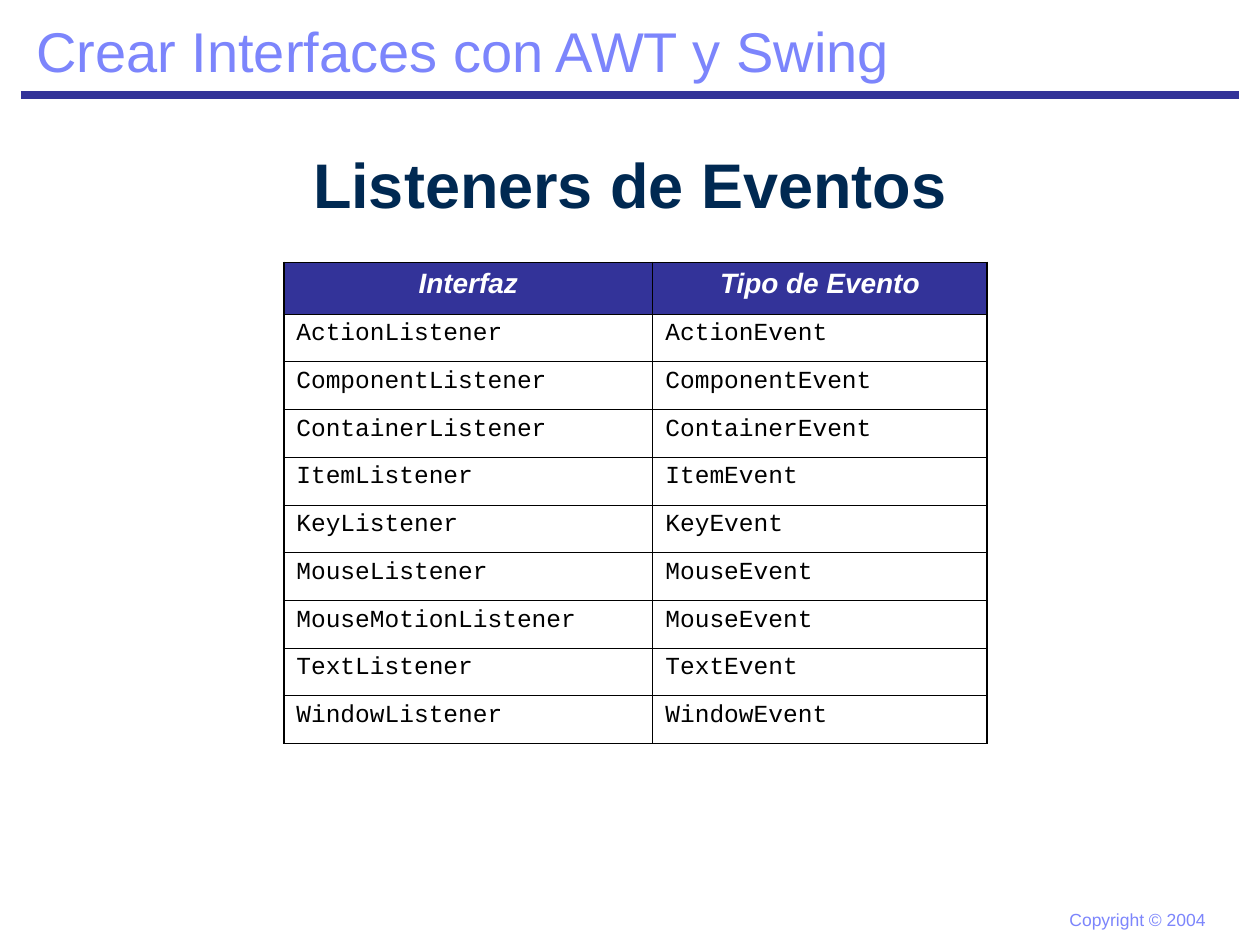
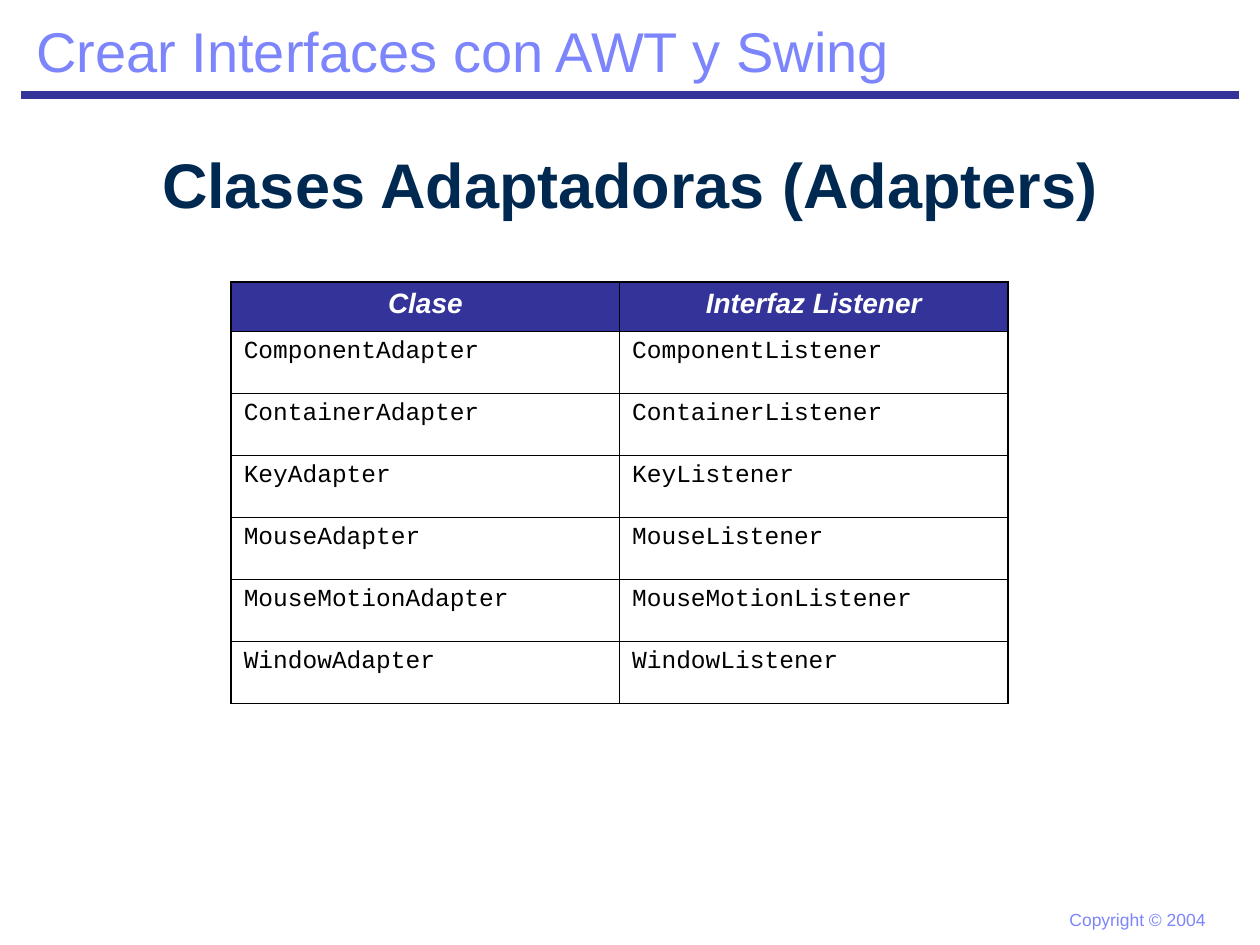
from lxml import etree
from pptx import Presentation
from pptx import util as u
from pptx.dml import color
from pptx.enum import shapes, text
from pptx.oxml import ns

BAND, LILAC, NAVY = "333399", "7C85FC", "002952"
BLACK, WHITE = "000000", "FFFFFF"
SANS, MONO = "Arial", "Courier New"
OUTER, INNER = 1.08, 0.45
HEADING_BOX = (0, 2.74, 25.4, 1.91)

LISTENERS = [
    ("Interfaz", "Tipo de Evento"),
    ("ActionListener", "ActionEvent"),
    ("ComponentListener", "ComponentEvent"),
    ("ContainerListener", "ContainerEvent"),
    ("ItemListener", "ItemEvent"),
    ("KeyListener", "KeyEvent"),
    ("MouseListener", "MouseEvent"),
    ("MouseMotionListener", "MouseEvent"),
    ("TextListener", "TextEvent"),
    ("WindowListener", "WindowEvent"),
]
ADAPTERS = [
    ("Clase", "Interfaz Listener"),
    ("ComponentAdapter", "ComponentListener"),
    ("ContainerAdapter", "ContainerListener"),
    ("KeyAdapter", "KeyListener"),
    ("MouseAdapter", "MouseListener"),
    ("MouseMotionAdapter", "MouseMotionListener"),
    ("WindowAdapter", "WindowListener"),
]


def rgb(value):
    return color.RGBColor.from_string(value)


def write(frame, words, font, size, colour, bold=False, italic=False, center=False):
    frame.text = words
    para = frame.paragraphs[0]
    para.alignment = text.PP_ALIGN.CENTER if center else text.PP_ALIGN.LEFT
    style = para.runs[0].font
    style.name, style.size = font, u.Pt(size)
    style.bold, style.italic = bold, italic
    style.color.rgb = rgb(colour)


def add_label(page, box, words, size, colour, **style):
    frame = page.shapes.add_textbox(*map(u.Cm, box)).text_frame
    write(frame, words, SANS, size, colour, **style)
    return frame


def add_tight_label(page, box, words, size):
    frame = add_label(page, box, words, size, LILAC)
    frame.word_wrap = False
    frame.auto_size = text.MSO_AUTO_SIZE.SHAPE_TO_FIT_TEXT


def add_page_frame(page):
    rule = page.shapes.add_connector(
        shapes.MSO_CONNECTOR.STRAIGHT, u.Cm(0.42), u.Cm(1.91), u.Cm(24.98), u.Cm(1.91))
    rule.line.color.rgb = rgb(BAND)
    rule.line.width = u.Pt(4.5)
    etree.SubElement(rule._element.spPr, ns.qn("a:effectLst"))
    add_tight_label(page, (21.31, 18.21, 3.25, 0.69), "Copyright © 2004", 10)
    add_tight_label(page, (0.48, 0.2, 17.83, 1.63), "Crear Interfaces con AWT y Swing", 32)


def add_heading(page, words):
    frame = add_label(page, HEADING_BOX, words, 36, NAVY, bold=True, center=True)
    frame.word_wrap = True
    frame.vertical_anchor = text.MSO_ANCHOR.MIDDLE


def set_borders(cell, outer_sides):
    props = cell._tc.get_or_add_tcPr()
    for side in "LRTB":
        width = OUTER if side in outer_sides else INNER
        line = etree.SubElement(props, ns.qn(f"a:ln{side}"), w=str(u.Pt(width)))
        fill = etree.SubElement(line, ns.qn("a:solidFill"))
        etree.SubElement(fill, ns.qn("a:srgbClr"), val=BLACK)


def add_class_table(page, box, rows, first_width, header_height):
    left, top, width, height = box
    last = len(rows) - 1
    grid = page.shapes.add_table(len(rows), 2, *map(u.Cm, box)).table
    grid.horz_banding = False
    for column, size in zip(grid.columns, (first_width, width - first_width)):
        column.width = u.Cm(size)
    row_height = (height - header_height) / last
    for r, names in enumerate(rows):
        grid.rows[r].height = u.Cm(row_height if r else header_height)
        for c, name in enumerate(names):
            cell = grid.cell(r, c)
            sides = "LR"[c] + ("T" if r == 0 else "") + ("B" if r == last else "")
            set_borders(cell, sides)
            if r == 0:
                cell.fill.solid()
                cell.fill.fore_color.rgb = rgb(BAND)
                write(cell.text_frame, name, SANS, 16, WHITE,
                      bold=True, italic=True, center=True)
            else:
                cell.fill.background()
                write(cell.text_frame, name, MONO, 14, BLACK)


def add_table_page(deck, heading, rows, box, first_width, header_height):
    page = deck.slides.add_slide(deck.slide_layouts[6])
    add_page_frame(page)
    add_heading(page, heading)
    add_class_table(page, box, rows, first_width, header_height)


def main():
    deck = Presentation()
    deck.slide_width, deck.slide_height = u.Cm(25.4), u.Cm(19.05)
    add_table_page(deck, "Listeners de Eventos", LISTENERS,
                   (5.72, 5.29, 14.18, 9.7), 7.44, 1.04)
    add_table_page(deck, "Clases Adaptadoras (Adapters)", ADAPTERS,
                   (4.66, 5.69, 15.66, 8.49), 7.83, 0.99)
    deck.save("out.pptx")


if __name__ == "__main__":
    main()
